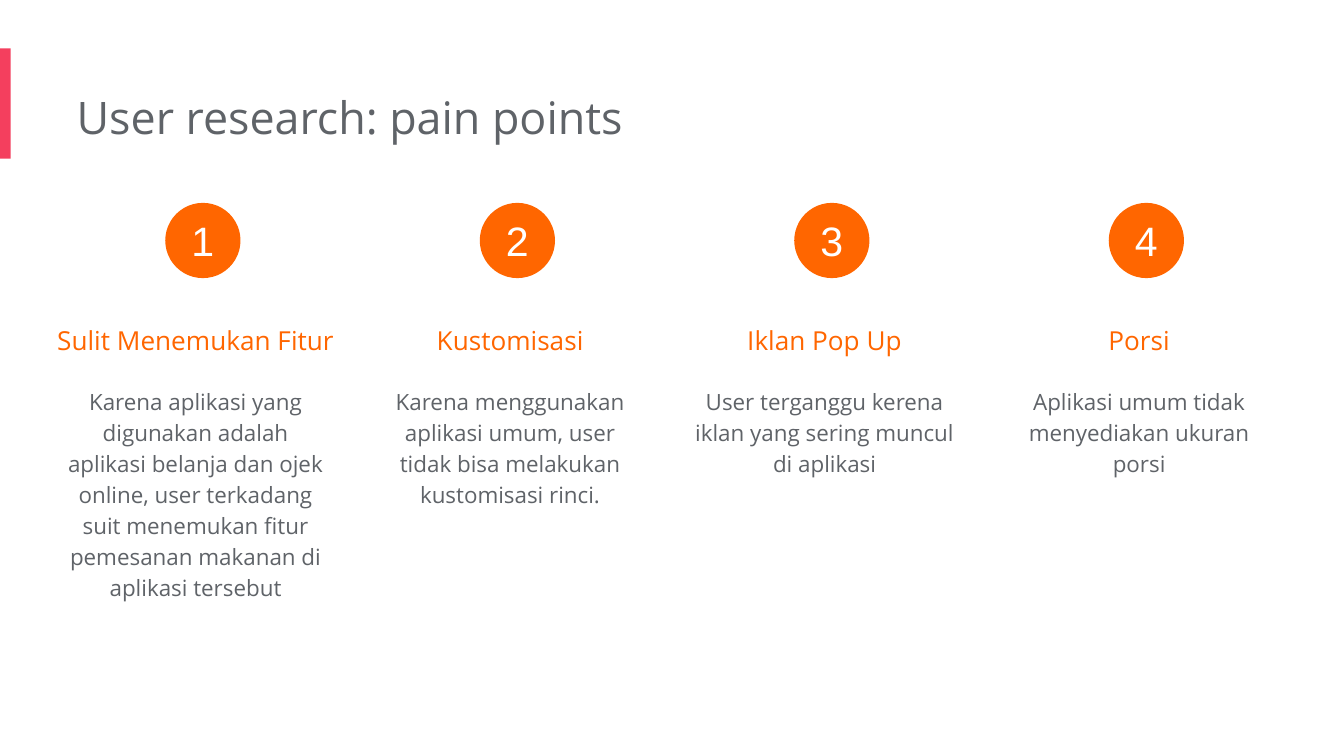
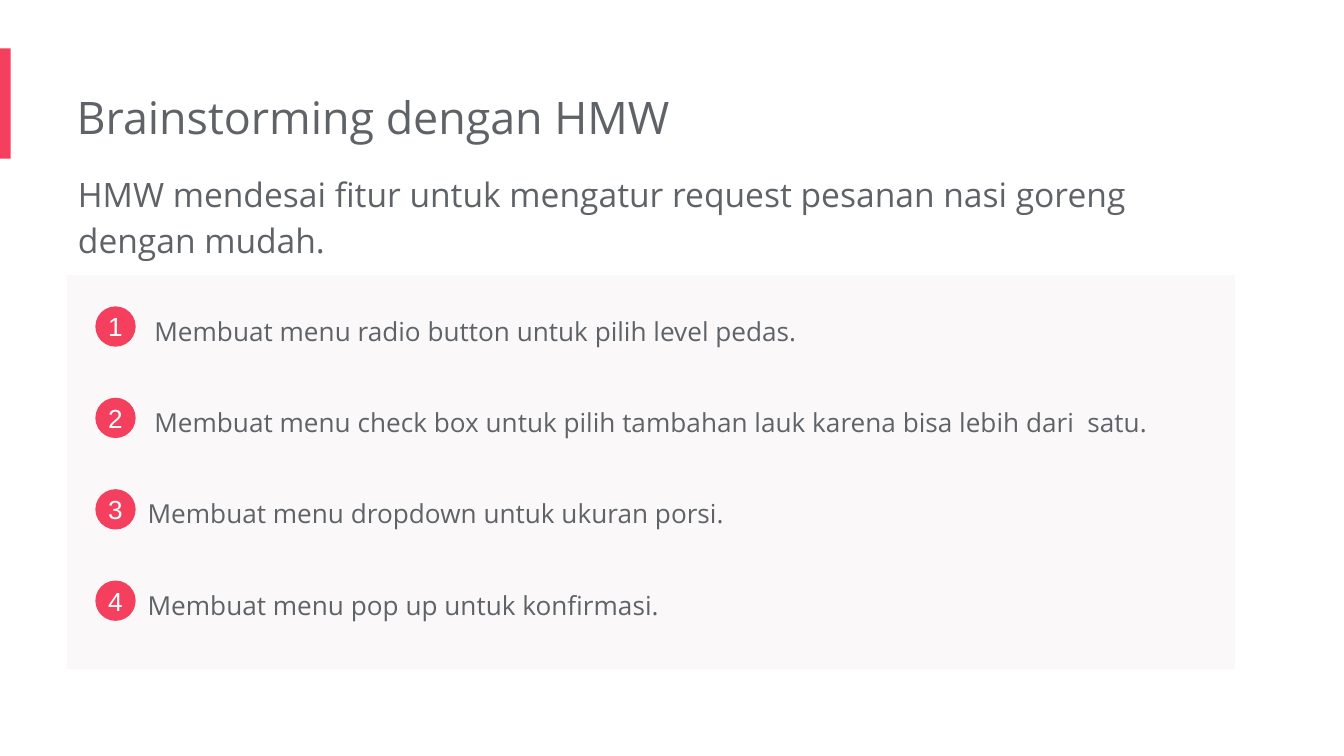
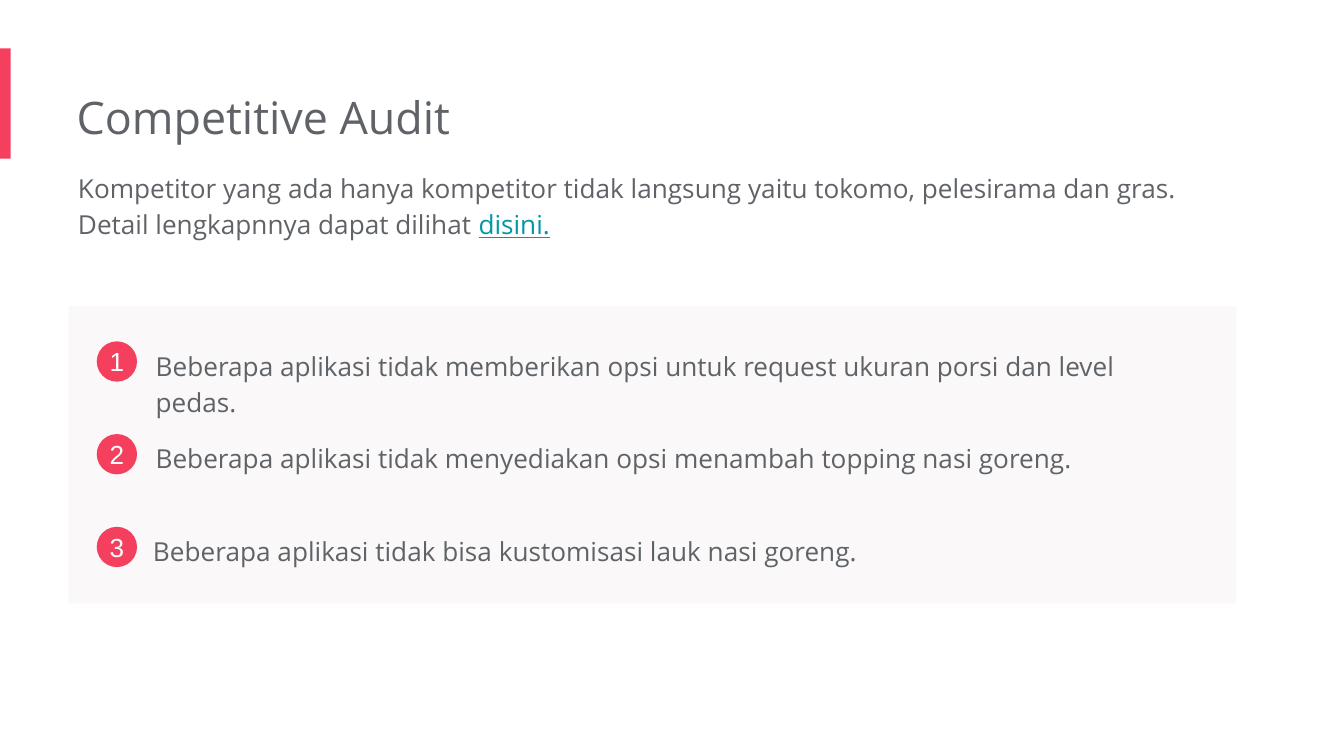
from dataclasses import dataclass

from pptx import Presentation
from pptx.dml.color import RGBColor
from pptx.enum.shapes import MSO_SHAPE as Geo
from pptx.enum.text import MSO_ANCHOR as Anchor, MSO_AUTO_SIZE as Fit, PP_ALIGN as Align
from pptx.shapes.autoshape import Shape
from pptx.slide import Slide, SlideLayout
from pptx.util import Inches, Pt

COLORS = {
    "accent": "F43F5E",
    "orange": "FF6600",
    "gray": "5F6368",
    "panel": "FAF8F8",
    "link": "0097A7",
    "white": "FFFFFF",
}


@dataclass(frozen=True)
class Box:
    left: float
    top: float
    width: float
    height: float

    def emu(self) -> list[int]:
        return [Inches(v) for v in (self.left, self.top, self.width, self.height)]


@dataclass(frozen=True)
class Style:
    size: int
    color: str = "gray"
    font: str = "Open Sans"
    align: Align = Align.LEFT
    spacing: float = 1.15
    left_inset: float = 0
    inset: float = 0.1
    anchor: Anchor = Anchor.TOP
    fit: Fit = Fit.SHAPE_TO_FIT_TEXT


@dataclass(frozen=True)
class Run:
    text: str
    color: str | None = None
    underline: bool | None = None


@dataclass(frozen=True)
class PainPoint:
    heading: str
    body: str
    body_lines: int
    heading_width: float = 2.05


@dataclass(frozen=True)
class Step:
    text: str
    left: float
    width: float
    height: float = 0.47


TITLE = Style(24, spacing=1.0)
HEADING = Style(14, "orange", align=Align.CENTER, spacing=1.5)
BODY = Style(12, align=Align.CENTER)
LEAD = Style(18)
INTRO = Style(14)
STEP = Style(14, left_inset=0.1)
BADGE = dict(color="white", font="Arial", align=Align.CENTER, spacing=1.0,
             inset=0, anchor=Anchor.MIDDLE, fit=Fit.NONE)
BIG_NUMBER = Style(22, **BADGE)
SMALL_NUMBER = Style(14, **BADGE)

COLUMN_LEFT, COLUMN_WIDTH, COLUMN_PITCH = 0.48, 2.05, 2.34

PAIN_POINTS = [
    PainPoint("Sulit Menemukan Fitur",
              "Karena aplikasi yang digunakan adalah aplikasi belanja dan ojek online, "
              "user terkadang suit menemukan fitur pemesanan makanan di aplikasi tersebut",
              7, 2.34),
    PainPoint("Kustomisasi",
              "Karena menggunakan aplikasi umum, user tidak bisa melakukan kustomisasi rinci.", 4),
    PainPoint("Iklan Pop Up", "User terganggu kerena iklan yang sering muncul di aplikasi", 3),
    PainPoint("Porsi", "Aplikasi umum tidak menyediakan ukuran porsi", 3),
]
IDEAS = [
    Step("Membuat menu radio button untuk pilih level pedas.", 1.05, 7.91),
    Step("Membuat menu check box untuk pilih tambahan lauk karena bisa lebih dari  satu.",
         1.05, 8.04),
    Step("Membuat menu dropdown untuk ukuran porsi.", 1, 7.96),
    Step("Membuat menu pop up untuk konfirmasi.", 1, 7.96, 0.74),
]
FINDINGS = [
    Step("Beberapa aplikasi tidak memberikan opsi untuk request ukuran porsi dan level pedas.",
         1.06, 7.91, 0.74),
    Step("Beberapa aplikasi tidak menyediakan opsi menambah topping nasi goreng.", 1.06, 8.04),
    Step("Beberapa aplikasi tidak bisa kustomisasi lauk nasi goreng.", 1.04, 7.96),
]


def rgb(name: str) -> RGBColor:
    return RGBColor.from_string(COLORS[name])


def write(shape: Shape, runs: list[Run], style: Style) -> None:
    tf = shape.text_frame
    frame_format = {
        "word_wrap": True,
        "auto_size": style.fit,
        "vertical_anchor": style.anchor,
        "margin_left": Inches(style.left_inset),
        "margin_top": Inches(style.inset),
        "margin_right": Inches(style.inset),
        "margin_bottom": Inches(style.inset),
    }
    for name, value in frame_format.items():
        setattr(tf, name, value)
    p = tf.paragraphs[0]
    p.alignment, p.line_spacing = style.align, style.spacing
    for run in runs:
        r = p.add_run()
        r.text = run.text
        font_format = {"name": style.font, "size": Pt(style.size), "underline": run.underline}
        for name, value in font_format.items():
            setattr(r.font, name, value)
        r.font.color.rgb = rgb(run.color or style.color)


def add_text(s: Slide, box: Box, style: Style, *runs: Run) -> None:
    write(s.shapes.add_textbox(*box.emu()), list(runs), style)


def add_filled(s: Slide, geo: Geo, box: Box, color: str) -> Shape:
    sp = s.shapes.add_shape(geo, *box.emu())
    sp.shadow.inherit = False
    sp.fill.solid()
    sp.fill.fore_color.rgb = rgb(color)
    sp.line.fill.background()
    return sp


def add_badge(s: Slide, left: float, top: float, size: float,
              number: int, color: str, style: Style) -> None:
    sp = add_filled(s, Geo.OVAL, Box(left, top, size, size), color)
    write(sp, [Run(str(number))], style)


def add_steps(s: Slide, panel: Box, first_top: float, pitch: float, steps: list[Step]) -> None:
    """Draw the pale panel with its numbered lines."""
    add_filled(s, Geo.RECTANGLE, panel, "panel")
    for i, step in enumerate(steps):
        top = first_top + i * pitch
        add_text(s, Box(step.left, top - 0.07, step.width, step.height), STEP, Run(step.text))
        add_badge(s, panel.left + 0.21, top, 0.3, i + 1, "accent", SMALL_NUMBER)


def add_slide(prs: Presentation, layout: SlideLayout, title: str) -> Slide:
    s = prs.slides.add_slide(layout)
    sp = s.shapes.title
    sp.left, sp.top, sp.width, sp.height = Box(0.57, 0.57, 6.7, 0.61).emu()
    write(sp, [Run(title)], TITLE)
    return s


def add_accent_bar(s: Slide, layout: SlideLayout) -> None:
    """Move the bar into the layout, so that every slide shows it."""
    bar = add_filled(s, Geo.RECTANGLE, Box(0, 0.36, 0.08, 0.82), "accent")
    layout.shapes.element.append(bar.element)


def fill_pain_points(s: Slide) -> None:
    for i, point in enumerate(PAIN_POINTS):
        left = COLUMN_LEFT + i * COLUMN_PITCH
        heading_left = left + (COLUMN_WIDTH - point.heading_width) / 2
        body_height = 0.2 + 0.23 * point.body_lines
        add_text(s, Box(heading_left, 2.2, point.heading_width, 0.56), HEADING,
                 Run(point.heading))
        add_text(s, Box(left, 2.76, COLUMN_WIDTH, body_height), BODY, Run(point.body))
        add_badge(s, left + 0.75, 1.51, 0.56, i + 1, "orange", BIG_NUMBER)


def fill_brainstorming(s: Slide) -> None:
    add_steps(s, Box(0.5, 2.05, 8.69, 2.93), 2.28, 0.68, IDEAS)
    add_text(s, Box(0.58, 1.15, 8.61, 0.9), LEAD,
             Run("HMW mendesai fitur untuk mengatur request pesanan nasi goreng dengan mudah."))


def fill_audit(s: Slide) -> None:
    add_steps(s, Box(0.51, 2.28, 8.69, 2.21), 2.54, 0.69, FINDINGS)
    add_text(s, Box(0.58, 1.15, 8.61, 0.74), INTRO,
             Run("Kompetitor yang ada hanya kompetitor tidak langsung yaitu tokomo, "
                 "pelesirama dan gras. Detail lengkapnnya dapat dilihat "),
             Run("disini.", "link", True))


def main() -> None:
    prs = Presentation()
    prs.slide_width = Inches(10)
    prs.slide_height = prs.slide_width * 9 // 16
    layout = prs.slide_layouts.get_by_name("Title Only")
    pain_points = add_slide(prs, layout, "User research: pain points")
    add_accent_bar(pain_points, layout)
    fill_pain_points(pain_points)
    fill_brainstorming(add_slide(prs, layout, "Brainstorming dengan HMW"))
    fill_audit(add_slide(prs, layout, "Competitive Audit"))
    prs.save("out.pptx")


if __name__ == "__main__":
    main()
